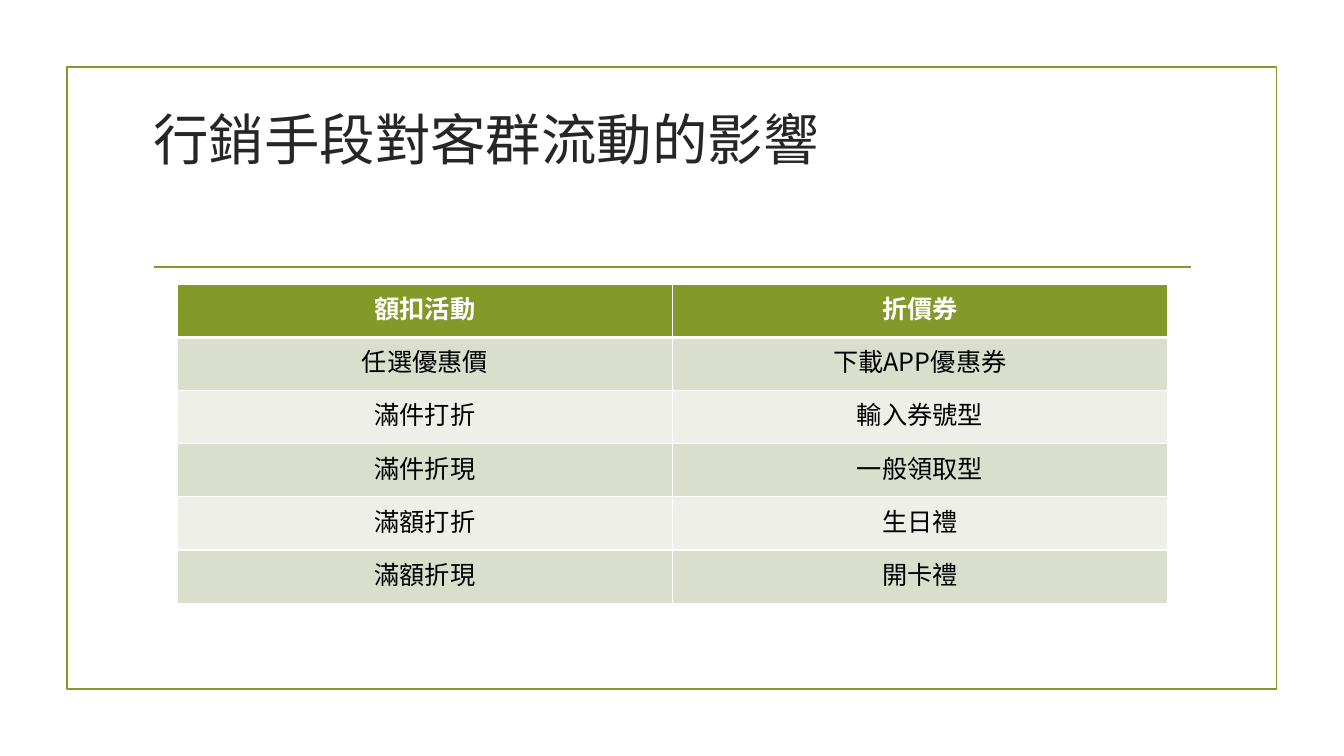
from lxml import etree
from pptx import Presentation
from pptx.dml.color import RGBColor
from pptx.enum.shapes import MSO_CONNECTOR, MSO_SHAPE
from pptx.enum.text import MSO_ANCHOR, PP_ALIGN
from pptx.oxml.ns import qn
from pptx.util import Pt

STRAIGHT = MSO_CONNECTOR.STRAIGHT
RECTANGLE = MSO_SHAPE.RECTANGLE
TOP = MSO_ANCHOR.TOP
LEFT, CENTER = PP_ALIGN.LEFT, PP_ALIGN.CENTER

FONT = "Noto Sans CJK SC"
GREEN, WHITE, BLACK, TITLE_GREY = "83992A", "FFFFFF", "000000", "262626"
BAND_DARK, BAND_LIGHT = "D9DECD", "EDEFE8"


def rgb(value):
    return RGBColor.from_string(value)


def write(paragraph, text, size, color, bold=False):
    run = paragraph.add_run()
    run.text = text
    run.font.size = Pt(size)
    run.font.bold = bold
    run.font.color.rgb = rgb(color)
    run.font.name = FONT
    # East Asian text takes its own typeface entry
    etree.SubElement(run.font._element, qn("a:ea"), typeface=FONT)


prs = Presentation()
prs.slide_width, prs.slide_height = Pt(960), Pt(540)
slide = prs.slides.add_slide(prs.slide_layouts[5])

# Green frame around the slide
frame = slide.shapes.add_shape(RECTANGLE, Pt(47.8), Pt(48), Pt(864), Pt(444))
frame.shadow.inherit = False
frame.fill.background()
frame.line.color.rgb = rgb(GREEN)
frame.line.width = Pt(1.25)

# Rule under the title
title_rule = slide.shapes.add_connector(STRAIGHT, Pt(110), Pt(190.8), Pt(850.5), Pt(190.8))
title_rule.line.color.rgb = rgb(GREEN)
title_rule.line.width = Pt(1.25)
etree.SubElement(title_rule._element.spPr, qn("a:effectLst"))

# Title
title = slide.shapes.title
title.left, title.top, title.width, title.height = Pt(102.3), Pt(77), Pt(756), Pt(103)
title.text_frame.vertical_anchor = TOP
title.text_frame.word_wrap = True
heading = title.text_frame.paragraphs[0]
heading.alignment = LEFT
heading.line_spacing = 0.9
write(heading, "行銷手段對客群流動的影響", 39.6, TITLE_GREY)

# Table of promotions and coupons
promotions = [
    ("額扣活動", "折價券"),
    ("任選優惠價", "下載APP優惠券"),
    ("滿件打折", "輸入券號型"),
    ("滿件折現", "一般領取型"),
    ("滿額打折", "生日禮"),
    ("滿額折現", "開卡禮"),
]
table = slide.shapes.add_table(
    len(promotions), 2, Pt(126.8), Pt(203), Pt(707), Pt(38 * len(promotions))
).table

for r, labels in enumerate(promotions):
    is_header = r == 0
    band = GREEN if is_header else (BAND_DARK if r % 2 else BAND_LIGHT)
    for c, label in enumerate(labels):
        cell = table.cell(r, c)
        cell.vertical_anchor = TOP

        # White borders, thicker between header and body
        borders = {"a:lnL": 1, "a:lnR": 1, "a:lnT": 3 if r == 1 else 1, "a:lnB": 3 if is_header else 1}
        for side, width in borders.items():
            border = etree.SubElement(cell._tc.get_or_add_tcPr(), qn(side), w=str(Pt(width)))
            border_fill = etree.SubElement(border, qn("a:solidFill"))
            etree.SubElement(border_fill, qn("a:srgbClr"), val=WHITE)

        cell.fill.solid()
        cell.fill.fore_color.rgb = rgb(band)
        paragraph = cell.text_frame.paragraphs[0]
        paragraph.alignment = CENTER
        write(paragraph, label, 18, WHITE if is_header else BLACK, is_header)

prs.save("out.pptx")
